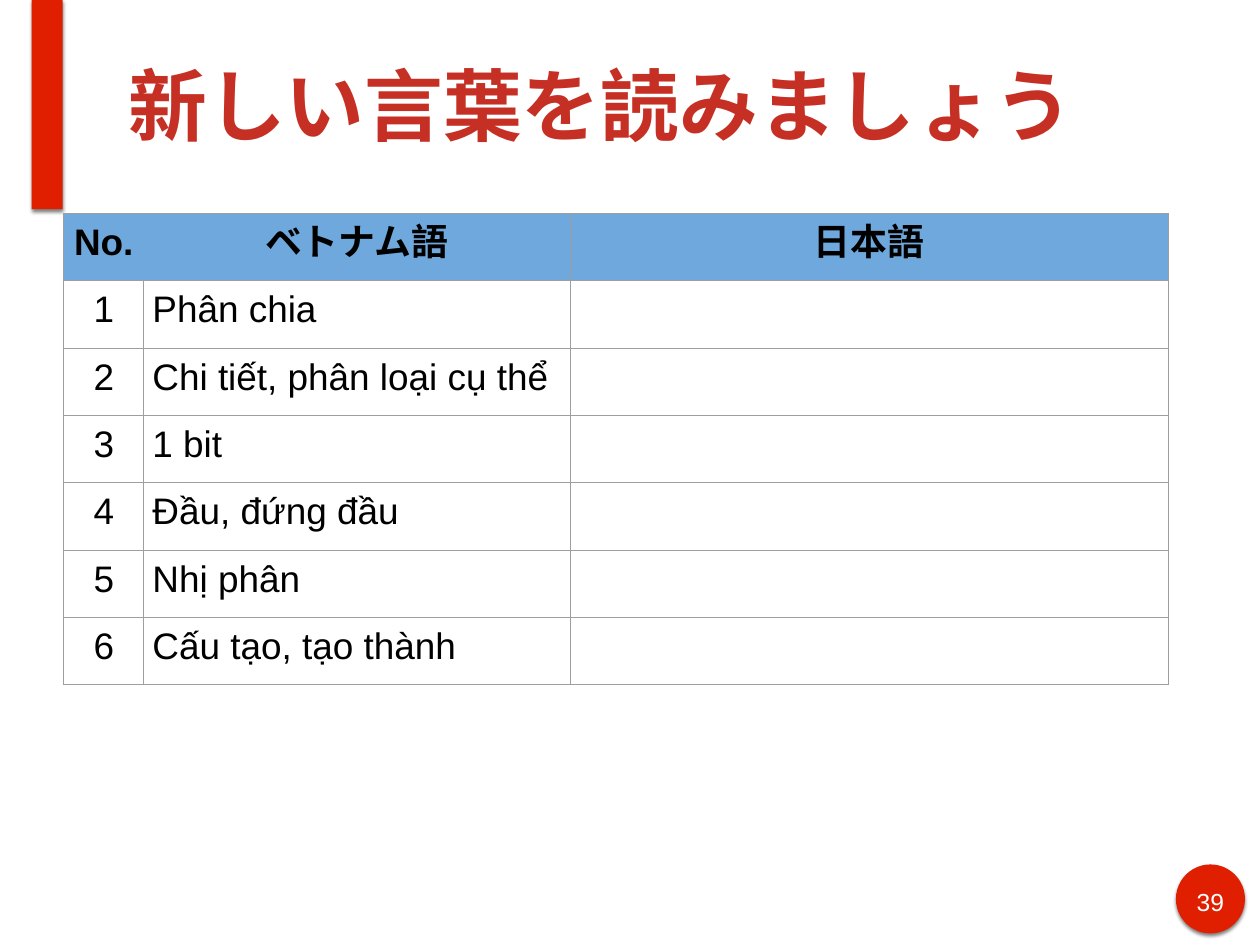
from lxml import etree
from pptx import Presentation
from pptx.dml.color import RGBColor
from pptx.enum.shapes import MSO_SHAPE
from pptx.enum.text import MSO_ANCHOR, PP_ALIGN
from pptx.oxml.ns import qn
from pptx.util import Cm, Pt

RECT, OVAL = MSO_SHAPE.RECTANGLE, MSO_SHAPE.OVAL
LEFT, CENTER = PP_ALIGN.LEFT, PP_ALIGN.CENTER
TOP, MIDDLE = MSO_ANCHOR.TOP, MSO_ANCHOR.MIDDLE
FONT = "Arial"
RED, TITLE_RED, HEADER_BLUE, GRID = "DF1F00", "C63024", "6FA8DC", "9E9E9E"
HEADERS = ["No.", "ベトナム語", "日本語"]
WORDS = [
    "Phân chia",
    "Chi tiết, phân loại cụ thể",
    "1 bit",
    "Đầu, đứng đầu",
    "Nhị phân",
    "Cấu tạo, tạo thành",
]


def color(value):
    return RGBColor.from_string(value)


def write(tf, text, size=30, fill="000000", bold=False, align=LEFT):
    p = tf.paragraphs[0]
    p.alignment = align
    r = p.add_run()
    r.text = text
    r.font.name = FONT
    r.font.size = Pt(size)
    r.font.bold = bold
    r.font.color.rgb = color(fill)
    etree.SubElement(r.font._element, qn("a:ea"), typeface=FONT)


def frame(tf, anchor):
    tf.word_wrap = True
    tf.vertical_anchor = anchor
    tf.margin_left = tf.margin_right = Cm(0.15)
    tf.margin_top = tf.margin_bottom = Cm(0.15)


def add_red_shape(slide, kind, x, y, w, h):
    sp = slide.shapes.add_shape(kind, Cm(x), Cm(y), Cm(w), Cm(h))
    sp.fill.solid()
    sp.fill.fore_color.rgb = color(RED)
    sp.line.fill.background()
    sp.shadow.inherit = False
    effects = sp._element.spPr.find(qn("a:effectLst"))
    shadow = etree.SubElement(effects, qn("a:outerShdw"), blurRad=str(Pt(3)),
                              dist=str(Pt(2)), dir="5400000", rotWithShape="0")
    black = etree.SubElement(shadow, qn("a:srgbClr"), val="000000")
    etree.SubElement(black, qn("a:alpha"), val="50000")


def add_title(slide, x, y, w, h):
    sp = slide.shapes.title
    sp.left, sp.top, sp.width, sp.height = Cm(x), Cm(y), Cm(w), Cm(h)
    frame(sp.text_frame, MIDDLE)
    write(sp.text_frame, "新しい言葉を読みましょう", size=64, fill=TITLE_RED, bold=True)


def add_page_badge(slide, x, y, d):
    add_red_shape(slide, OVAL, x, y, d, d)
    sp = slide.shapes.add_textbox(Cm(x + 0.37), Cm(y + 0.48), Cm(d - 0.74), Cm(1))
    frame(sp.text_frame, TOP)
    write(sp.text_frame, "39", size=20, fill="FFFFFF", align=CENTER)


def add_borders(cell, hidden):
    tcPr = cell._tc.get_or_add_tcPr()
    for side in ("lnL", "lnR", "lnT", "lnB"):
        ln = etree.SubElement(tcPr, qn("a:" + side), w=str(Pt(0.75)))
        if side == hidden:
            etree.SubElement(ln, qn("a:noFill"))
        else:
            solid = etree.SubElement(ln, qn("a:solidFill"))
            etree.SubElement(solid, qn("a:srgbClr"), val=GRID)


def add_word_table(slide, x, y, w, row_h):
    rows = [HEADERS] + [[str(n), word, ""] for n, word in enumerate(WORDS, 1)]
    widths = [2.29, 12.22, w - 14.51]
    table = slide.shapes.add_table(len(rows), len(widths), Cm(x), Cm(y),
                                   Cm(w), Cm(row_h * len(rows))).table
    table.first_row = table.horz_banding = False
    for column, width in zip(table.columns, widths):
        column.width = Cm(width)
    for i, texts in enumerate(rows):
        table.rows[i].height = Cm(row_h)
        header = i == 0
        for j, text in enumerate(texts):
            cell = table.cell(i, j)
            cell.margin_left = cell.margin_right = Cm(0.25)
            cell.margin_top = cell.margin_bottom = Cm(0.25)
            add_borders(cell, {0: "lnR", 1: "lnL"}.get(j) if header else None)
            if header:
                cell.fill.solid()
                cell.fill.fore_color.rgb = color(HEADER_BLUE)
            else:
                cell.fill.background()
            if text:
                write(cell.text_frame, text, bold=header,
                      align=CENTER if header or j == 0 else LEFT)


def main():
    prs = Presentation()
    prs.slide_width, prs.slide_height = Cm(36.12), Cm(27.1)
    slide = prs.slides.add_slide(prs.slide_layouts[5])
    add_red_shape(slide, RECT, 0.91, 0, 0.89, 6)
    add_page_badge(slide, 33.71, 24.79, 1.98)
    add_title(slide, 3.53, 0.3, 30.84, 5.38)
    add_word_table(slide, 1.83, 6.12, 31.65, 1.93)
    prs.save("out.pptx")


if __name__ == "__main__":
    main()
